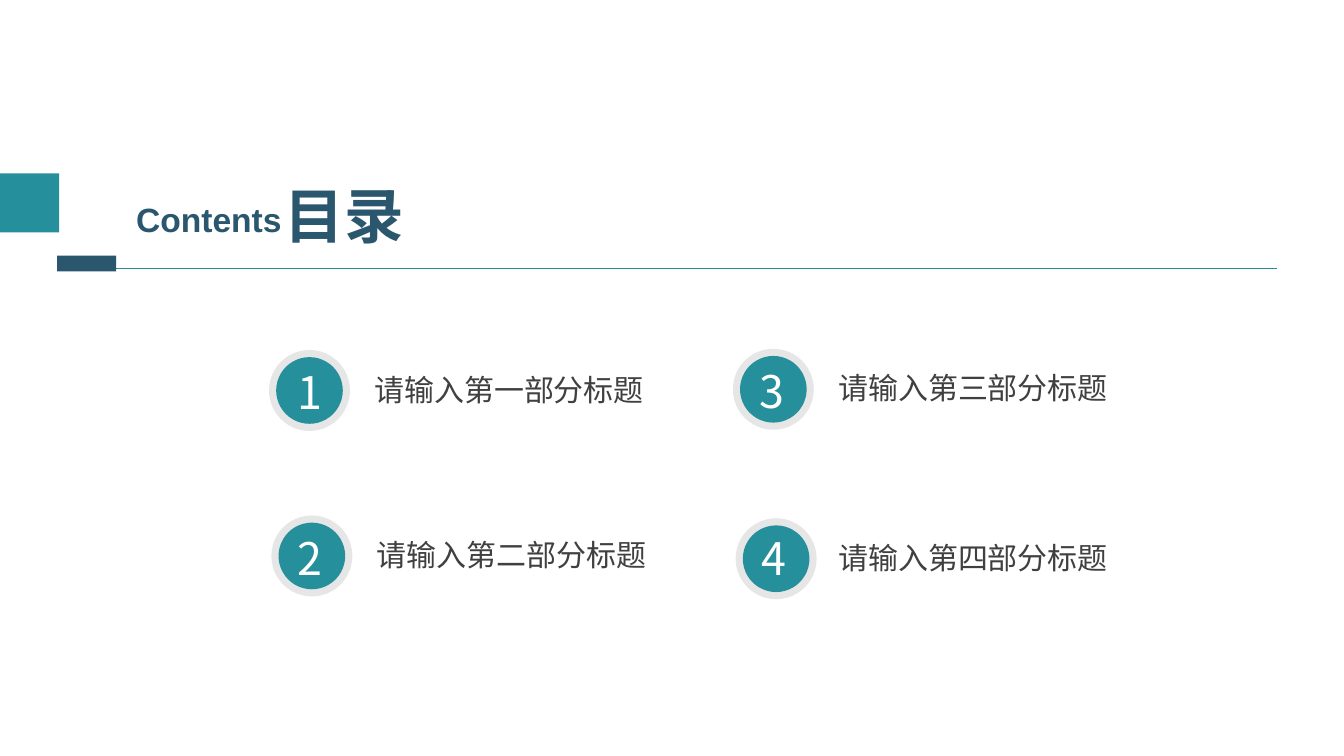
from dataclasses import dataclass

from lxml.etree import SubElement
from pptx import Presentation
from pptx.dml.color import RGBColor
from pptx.enum.shapes import MSO_CONNECTOR as Connector, MSO_SHAPE as Shape
from pptx.oxml.ns import qn
from pptx.util import Cm, Pt

COLORS = {
    "teal": "268F9C",
    "navy": "2A566E",
    "ring": "E7E6E6",
    "label": "404040",
    "white": "FFFFFF",
}
LATIN, CHINESE = "Arial", "Noto Sans CJK SC"


@dataclass
class Entry:
    """One contents entry; lengths in cm, offsets from the ring's corner."""
    title: str
    left: float
    top: float
    label_width: float
    digit_dx: float = 0.41
    digit_dy: float = 0.25
    label_dx: float = 2.41


ENTRIES = [
    Entry("请输入第一部分标题", 6.78, 8.82, 12.6, digit_dx=0.48),
    Entry("请输入第二部分标题", 6.84, 12.99, 12.6),
    Entry("请输入第三部分标题", 18.47, 8.79, 8.13),
    Entry("请输入第四部分标题", 18.54, 13.06, 8.13, digit_dy=0.18, label_dx=2.34),
]


def color(name):
    return RGBColor.from_string(COLORS[name])


def add_block(page, kind, left, top, width, height, fill):
    block = page.shapes.add_shape(kind, Cm(left), Cm(top), Cm(width), Cm(height))
    block.shadow.inherit = False
    block.fill.solid()
    block.fill.fore_color.rgb = color(fill)
    block.line.fill.background()


def add_text(page, text, left, top, width, height, size, fill, face=CHINESE, bold=False):
    box = page.shapes.add_textbox(Cm(left), Cm(top), Cm(width), Cm(height))
    box.text_frame.word_wrap = True
    para = box.text_frame.paragraphs[0]
    para.text = text
    font = para.font
    font.name, font.size, font.bold = face, Pt(size), bold
    font.color.rgb = color(fill)
    # East Asian glyphs take their own typeface element
    SubElement(para._p.pPr.find(qn("a:defRPr")), qn("a:ea"), typeface=face)


def add_header(page, left, top, width):
    # Rule under the heading
    rule_y = Cm(top + 2.39)
    rule = page.shapes.add_connector(
        Connector.STRAIGHT, Cm(left + 1.5), rule_y, Cm(left + width), rule_y)
    rule.line.color.rgb = color("teal")
    rule.line.width = Pt(0.75)
    SubElement(rule._element.spPr, qn("a:effectLst"))

    # Heading in two languages
    add_text(page, "目录", left + 6.93, top + 0.02, 4.34, 2.08, 42.6, "navy", bold=True)
    add_text(page, "Contents", left + 3.18, top + 0.53, 5.23, 1.27, 24, "navy", LATIN, True)

    # Accent blocks
    add_block(page, Shape.RECTANGLE, left, top, 1.49, 1.49, "teal")
    add_block(page, Shape.RECTANGLE, left + 1.44, top + 2.07, 1.49, 0.4, "navy")


def add_entry(page, number, entry):
    left, top = entry.left, entry.top
    ring, disc = 2.04, 1.68
    inset = (ring - disc) / 2
    # Numbered badge
    add_block(page, Shape.OVAL, left, top, ring, ring, "ring")
    add_block(page, Shape.OVAL, left + inset, top + inset, disc, disc, "teal")
    add_text(page, str(number), left + entry.digit_dx, top + entry.digit_dy,
             1.22, 1.62, 32, "white")
    # Section title
    add_text(page, entry.title, left + entry.label_dx, top + 0.41,
             entry.label_width, 1.17, 21.4, "label")


def main():
    deck = Presentation()
    deck.slide_width, deck.slide_height = Cm(33.87), Cm(19.05)
    page = deck.slides.add_slide(deck.slide_layouts[6])
    add_header(page, left=0, top=4.37, width=32.18)
    for number, entry in enumerate(ENTRIES, start=1):
        add_entry(page, number, entry)
    deck.save("out.pptx")


if __name__ == "__main__":
    main()
